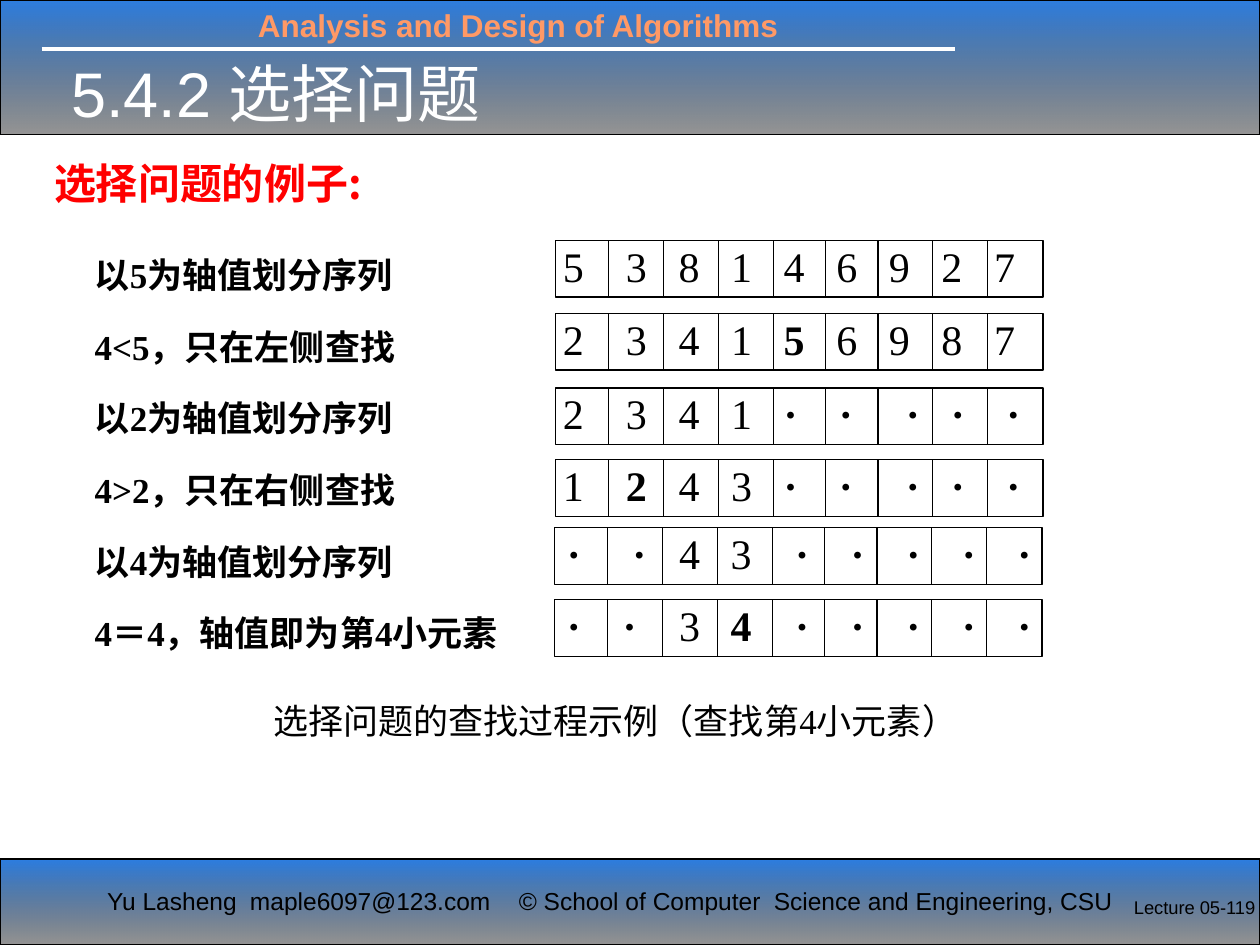
import dataclasses
import typing
import lxml.etree
import pptx
import pptx.dml.color
import pptx.enum.shapes
import pptx.enum.text
import pptx.oxml.ns
import pptx.util

Cm = pptx.util.Cm
Pt = pptx.util.Pt
qn = pptx.oxml.ns.qn
ALIGN = pptx.enum.text.PP_ALIGN
ANCHOR = pptx.enum.text.MSO_ANCHOR
RECT = pptx.enum.shapes.MSO_SHAPE.RECTANGLE
STRAIGHT = pptx.enum.shapes.MSO_CONNECTOR.STRAIGHT

HUES = {"blue": "0E6BDC", "black": "000000", "white": "FFFFFF", "orange": "FF9966", "red": "FF0000"}
SANS, HAN, SERIF = "Arial", "Noto Sans CJK SC", "Times New Roman"
MARGINS = ("margin_left", "margin_top", "margin_right", "margin_bottom")
PADS = (0.25, 0.13, 0.25, 0.13)
SPLITS = (1.06, 2.17, 3.28, 4.39, 5.44, 6.5, 7.6, 8.71)
WIDE, HIGH = 9.83, 1.14
DIGITS = tuple(1.27 + 1.06 * i for i in range(8))
MIXED = DIGITS[:3] + (4.45, 5.56, 6.91, 7.82, 8.94)
ENDS = (2.26, 3.3) + tuple(4.6 + 1.12 * i for i in range(5))


@dataclasses.dataclass
class Style:
    size: float
    face: str
    hue: str = "black"
    bold: bool = False


@dataclasses.dataclass
class Label:
    box: tuple
    lines: tuple
    style: Style
    pads: tuple = PADS
    stops: tuple = ()
    form: dict = dataclasses.field(default_factory=dict)
    frame: dict = dataclasses.field(default_factory=dict)


@dataclasses.dataclass
class Row:
    left: float
    top: float
    cells: str
    stops: tuple
    pivot: str = ""
    pad: float = 0.15


def paint(name: str) -> pptx.dml.color.RGBColor:
    return pptx.dml.color.RGBColor.from_string(HUES[name])


def put(item: typing.Any, form: dict) -> None:
    for key, val in form.items():
        setattr(item, key, val)


def place(box: tuple) -> list:
    return [Cm(n) for n in box]


def set_tabs(para: typing.Any, stops: tuple) -> None:
    if stops:
        tabs = lxml.etree.SubElement(para._p.get_or_add_pPr(), qn("a:tabLst"))
        for stop in stops:
            lxml.etree.SubElement(tabs, qn("a:tab"), pos=str(Cm(stop)), algn="l")


def add_run(para: typing.Any, text: str, style: Style) -> None:
    run = para.add_run()
    run.text = text
    put(run.font, {"size": Pt(style.size), "name": style.face, "bold": style.bold})
    run.font.color.rgb = paint(style.hue)
    lxml.etree.SubElement(run._r.get_or_add_rPr(), qn("a:ea"), typeface=HAN)


def set_frame(frame: typing.Any, pads: tuple, form: dict) -> None:
    put(frame, {"word_wrap": True, **dict(zip(MARGINS, place(pads))), **form})


def add_label(shapes: typing.Any, label: Label) -> None:
    frame = shapes.add_textbox(*place(label.box)).text_frame
    set_frame(frame, label.pads, label.frame)
    for i, line in enumerate(label.lines):
        para = frame.add_paragraph() if i else frame.paragraphs[0]
        set_tabs(para, label.stops)
        put(para, label.form)
        add_run(para, line, label.style)


def add_rect(shapes: typing.Any, box: tuple) -> typing.Any:
    rect = shapes.add_shape(RECT, *place(box))
    rect.shadow.inherit = False
    rect.line.color.rgb = paint("black")
    rect.line.width = Pt(0.75)
    return rect


def add_band(shapes: typing.Any, top: float, high: float) -> None:
    fill = add_rect(shapes, (0, top, 25.4, high)).fill
    fill.gradient()
    fill.gradient_angle = 270
    for stop, pos, hue, alpha in zip(fill.gradient_stops, (0, 1), ("blue", "black"), (88, 41)):
        put(stop, {"position": pos})
        stop.color.rgb = paint(hue)
        tone = stop._gs.find(qn("a:srgbClr"))
        lxml.etree.SubElement(tone, qn("a:alpha"), val=str(alpha * 1000))


def add_line(shapes: typing.Any, ends: tuple, hue: str, width: float) -> None:
    line = shapes.add_connector(STRAIGHT, *place(ends))
    line.line.color.rgb = paint(hue)
    line.line.width = Pt(width)
    lxml.etree.SubElement(line._element.spPr, qn("a:effectLst"))


def add_row(shapes: typing.Any, row: Row) -> None:
    rect = add_rect(shapes, (row.left, row.top, WIDE, HIGH))
    rect.fill.background()
    set_frame(rect.text_frame, (row.pad, 0, 0.05, 0), {"vertical_anchor": ANCHOR.TOP})
    para = rect.text_frame.paragraphs[0]
    set_tabs(para, row.stops)
    para.alignment = ALIGN.LEFT
    for i, cell in enumerate(row.cells):
        style = Style(24, SERIF, bold=cell in ("·", row.pivot))
        add_run(para, "\t" + cell if i else cell, style)
    for split in SPLITS:
        x = row.left + split
        add_line(shapes, (x, row.top, x, row.top + HIGH), "black", 0.75)


ROWS = (
    Row(11.2, 4.85, "538146927", DIGITS),
    Row(11.2, 6.32, "234156987", DIGITS, "5"),
    Row(11.2, 7.82, "2341·····", MIXED),
    Row(11.2, 9.27, "1243·····", MIXED, "2"),
    Row(11.18, 10.64, "··43·····", (1.32,) + ENDS, pad=0.25),
    Row(11.18, 12.09, "··34·····", (1.12,) + ENDS, "4", 0.25),
)
STEPS = (
    "以5为轴值划分序列",
    "4<5，只在左侧查找",
    "以2为轴值划分序列",
    "4>2，只在右侧查找",
    "以4为轴值划分序列",
    "4＝4，轴值即为第4小元素",
)
LABELS = (
    Label((4.95, 0, 12.7, 1.02), ("Analysis and Design of Algorithms",), Style(18, SANS, "orange", True)),
    Label((1.91, 17.73, 8.3, 0.86), ("Yu Lasheng\tmaple6097@123.com",), Style(14, SANS),
          (0.25, 0.13, 0, 0.13), (2.88,)),
    Label((10.21, 17.73, 13, 0.86), ("© School of Computer\tScience and Engineering, CSU",),
          Style(14, SANS), stops=(5.14,)),
    Label((0.84, 3.05, 22.02, 1.27), ("选择问题的例子:",), Style(24, HAN, "red", True)),
    Label((1.91, 4.52, 8.28, 8.81), STEPS, Style(20, SERIF, bold=True), (0, 0, 0, 0),
          form={"alignment": ALIGN.JUSTIFY, "line_spacing": Pt(40.9)}),
    Label((4.88, 14.1, 17.22, 0.97), ("选择问题的查找过程示例（查找第4小元素）",), Style(20, SERIF),
          (0.63, 0, 0, 0), form={"alignment": ALIGN.JUSTIFY}),
    Label((22.61, 17.93, 2.79, 0.9), ("Lecture 05-119",), Style(10.5, SANS), (0.25, 0.13, 0, 0.13)),
    Label((1.19, 0.99, 19.84, 1.73), ("5.4.2 选择问题",), Style(36, SANS, "white"),
          frame={"vertical_anchor": ANCHOR.MIDDLE}),
)


def main() -> None:
    """Build the slide on the selection problem."""
    deck = pptx.Presentation()
    put(deck, {"slide_width": Cm(25.4), "slide_height": Cm(19.05)})
    shapes = deck.slides.add_slide(deck.slide_layouts[6]).shapes
    add_band(shapes, 0, 2.72)
    add_band(shapes, 17.32, 1.73)
    add_line(shapes, (0.84, 0.99, 19.25, 0.99), "white", 2.25)
    for row in ROWS:
        add_row(shapes, row)
    for label in LABELS:
        add_label(shapes, label)
    deck.save("out.pptx")


if __name__ == "__main__":
    main()
